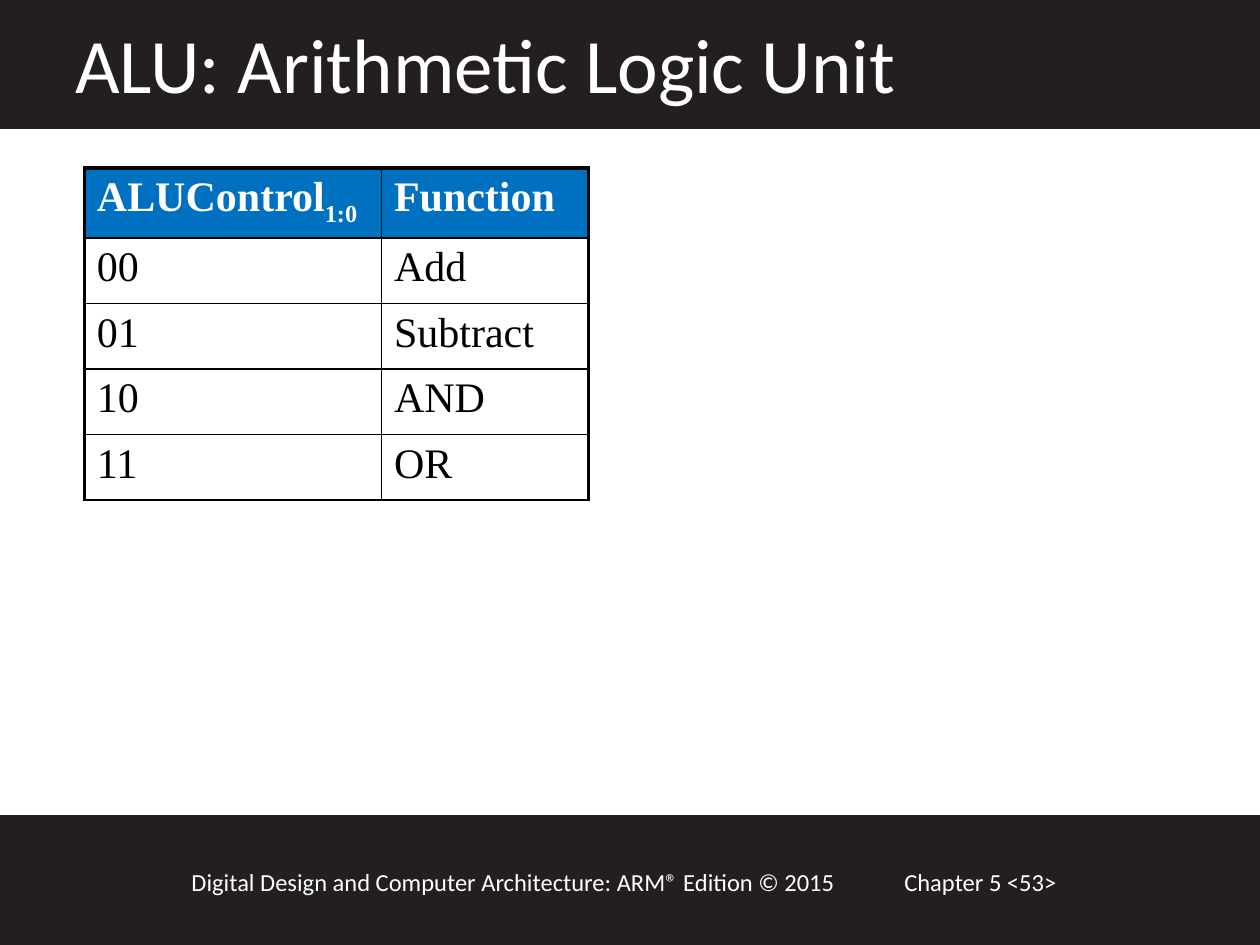
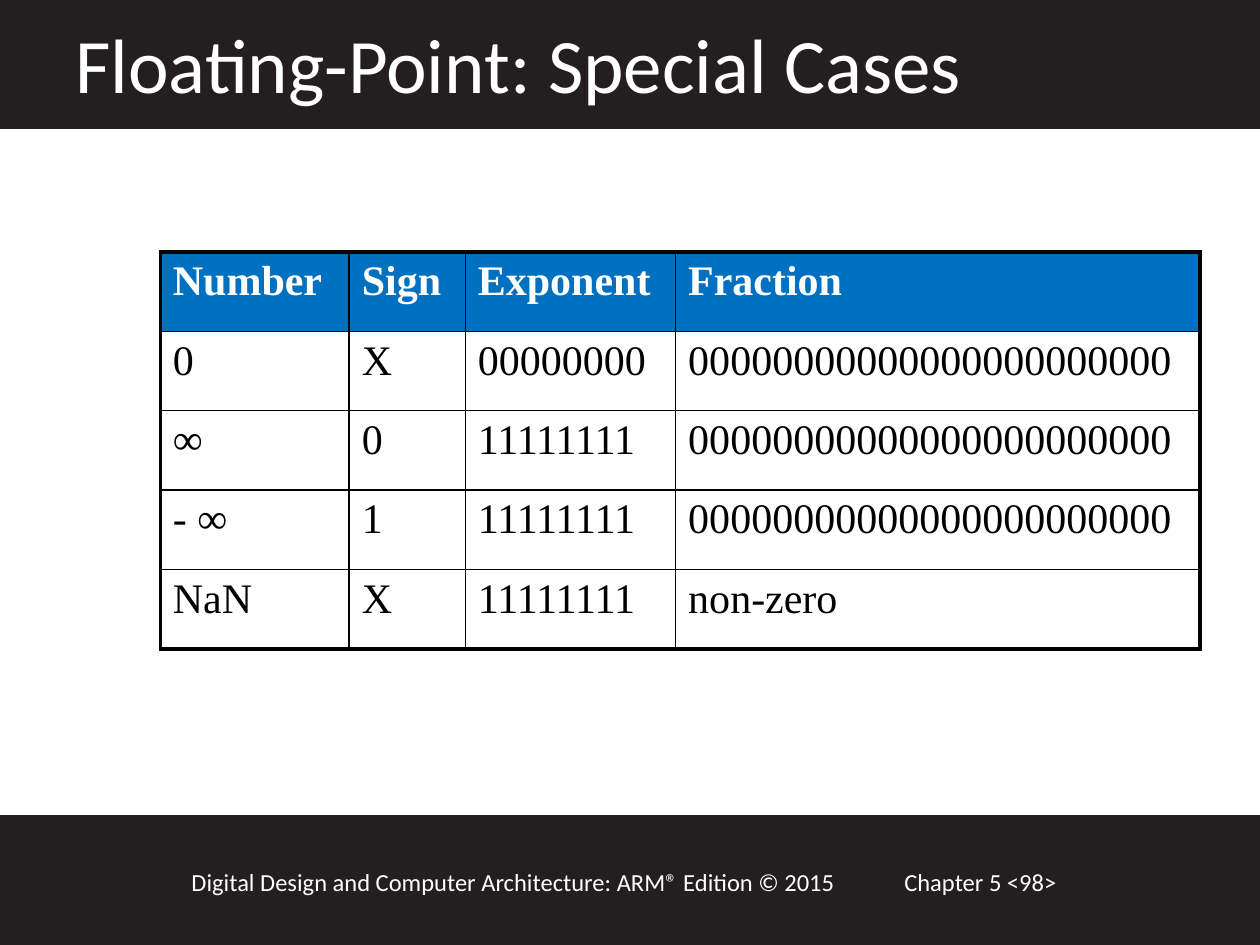
from lxml.etree import SubElement
from pptx import Presentation
from pptx.dml.color import RGBColor
from pptx.enum.shapes import MSO_SHAPE as Preset
from pptx.enum.text import MSO_AUTO_SIZE as AutoSize
from pptx.oxml.ns import qn
from pptx.util import Cm, Pt


def rgb(value):
    return RGBColor.from_string(value)


def write(paragraph, text, font_format):
    run = paragraph.add_run()
    run.text = text
    for attribute, value in font_format.items():
        setattr(run.font, attribute, value)
    run.font.color.rgb = rgb(BLACK if font_format is BODY else WHITE)
    return run


BAND, HEADER_BLUE, WHITE, BLACK = "231F20", "0070C0", "FFFFFF", "000000"
TITLE = {"name": "Calibri", "size": Pt(44)}
FOOTER = {"name": "Calibri", "size": Pt(14)}
HEADER = {"name": "Times New Roman", "size": Pt(24), "bold": True}
BODY = {**HEADER, "bold": False}
THIN, THICK = Pt(1), Pt(2.25)
BOOK = "Digital Design and Computer Architecture: ARM® Edition © 2015"
ZERO_FRACTION = "0" * 23
ONES = "1" * 8

pages = [
    {
        "title": "ALU: Arithmetic Logic Unit",
        "number": 53,
        "corner": (1.7, 3.39),
        "columns": [5.99, 4.17],
        "row_height": 1.32,
        "bottom": THIN,
        "rows": [
            ["ALUControl", "Function"],
            ["00", "Add"],
            ["01", "Subtract"],
            ["10", "AND"],
            ["11", "OR"],
        ],
        "subscripts": {"ALUControl": "1:0"},
    },
    {
        "title": "Floating-Point: Special Cases",
        "number": 98,
        "corner": (3.23, 5.08),
        "columns": [3.81, 2.34, 4.24, 10.57],
        "row_height": 1.6,
        "bottom": THICK,
        "rows": [
            ["Number", "Sign", "Exponent", "Fraction"],
            ["0", "X", "0" * 8, ZERO_FRACTION],
            ["∞", "0", ONES, ZERO_FRACTION],
            ["- ∞", "1", ONES, ZERO_FRACTION],
            ["NaN", "X", ONES, "non-zero"],
        ],
        "subscripts": {},
    },
]

deck = Presentation()
deck.slide_width, deck.slide_height = Cm(25.4), Cm(19.05)

for page in pages:
    slide = deck.slides.add_slide(deck.slide_layouts[6])

    for top, height in [(16.46, 2.59), (0, 2.57)]:
        band = slide.shapes.add_shape(
            Preset.RECTANGLE, 0, Cm(top), deck.slide_width, Cm(height))
        band.shadow.inherit = False
        band.fill.solid()
        band.fill.fore_color.rgb = rgb(BAND)
        band.line.color.rgb = rgb(BAND)
        band.line.width = Pt(2)

    for text, font_format, place in [
        (f"Chapter 5 <{page['number']}>", FOOTER, (17.98, 17.35, 5.51, 0.86)),
        (BOOK, FOOTER, (3.61, 17.35, 14.6, 0.86)),
        (page["title"], TITLE, (1.27, 0.2, 22.02, 2.13)),
    ]:
        frame = slide.shapes.add_textbox(*map(Cm, place)).text_frame
        frame.word_wrap = True
        frame.auto_size = AutoSize.SHAPE_TO_FIT_TEXT
        write(frame.paragraphs[0], text, font_format)

    rows, columns = page["rows"], page["columns"]
    left, top = page["corner"]
    table = slide.shapes.add_table(
        len(rows), len(columns), Cm(left), Cm(top),
        Cm(sum(columns)), Cm(page["row_height"] * len(rows))).table
    table.first_row = table.horz_banding = False
    for column, width in zip(table.columns, columns):
        column.width = Cm(width)

    for r, values in enumerate(rows):
        table.rows[r].height = Cm(page["row_height"])
        for c, value in enumerate(values):
            cell = table.cell(r, c)
            properties = cell._tc.get_or_add_tcPr()
            borders = {
                "a:lnL": THICK if c == 0 else THIN,
                "a:lnR": THICK if c == len(columns) - 1 else THIN,
                "a:lnT": THICK if r == 0 else THIN,
                "a:lnB": page["bottom"] if r == len(rows) - 1 else THIN,
            }
            for side, width in borders.items():
                border = SubElement(properties, qn(side), w=str(int(width)))
                stroke = SubElement(border, qn("a:solidFill"))
                SubElement(stroke, qn("a:srgbClr"), val=BLACK)

            if r == 0:
                cell.fill.solid()
                cell.fill.fore_color.rgb = rgb(HEADER_BLUE)
            else:
                cell.fill.background()

            font_format = HEADER if r == 0 else BODY
            paragraph = cell.text_frame.paragraphs[0]
            write(paragraph, value, font_format)
            if value in page["subscripts"]:
                subscript = write(paragraph, page["subscripts"][value], font_format)
                subscript._r.get_or_add_rPr().set("baseline", "-25000")

deck.save("out.pptx")
